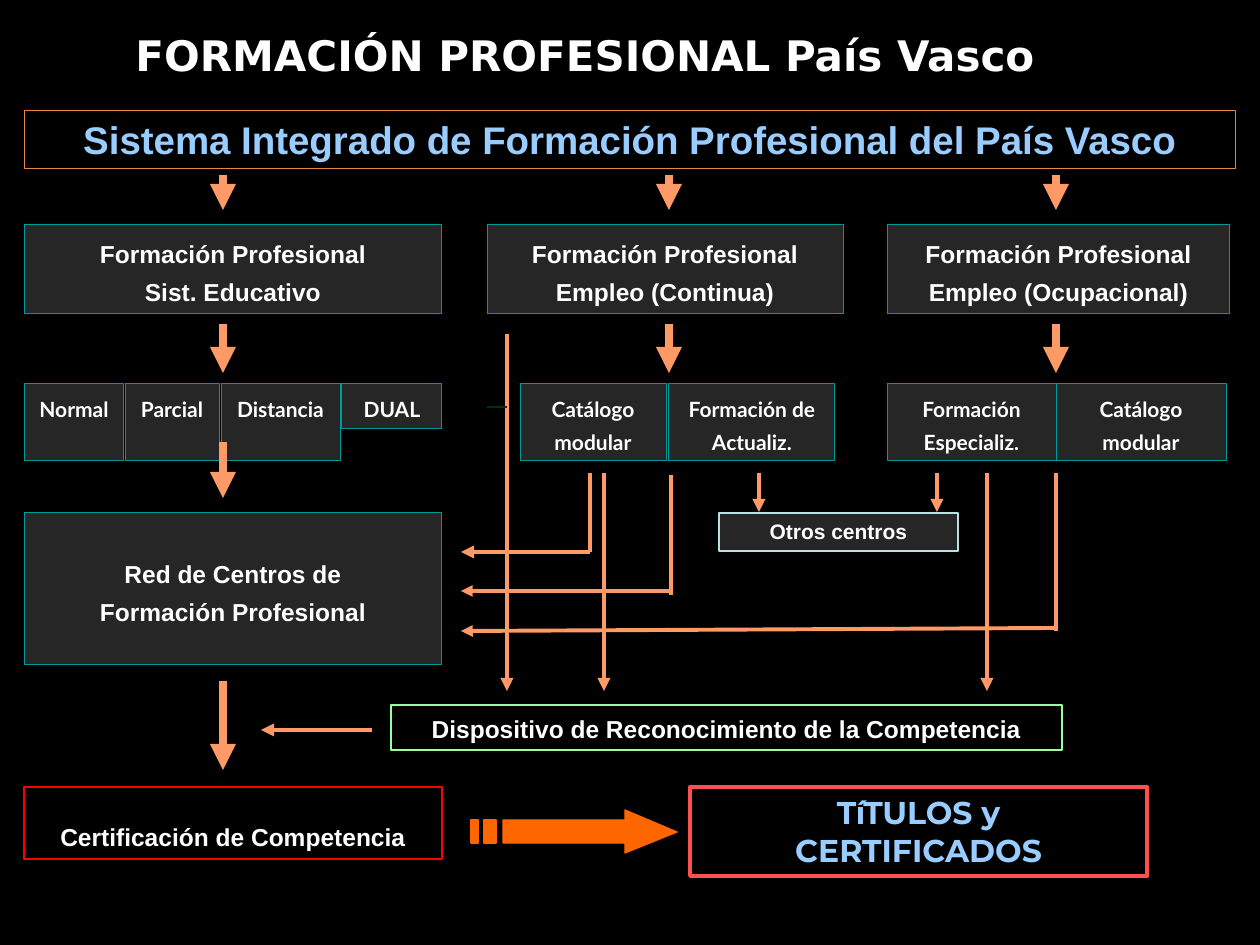
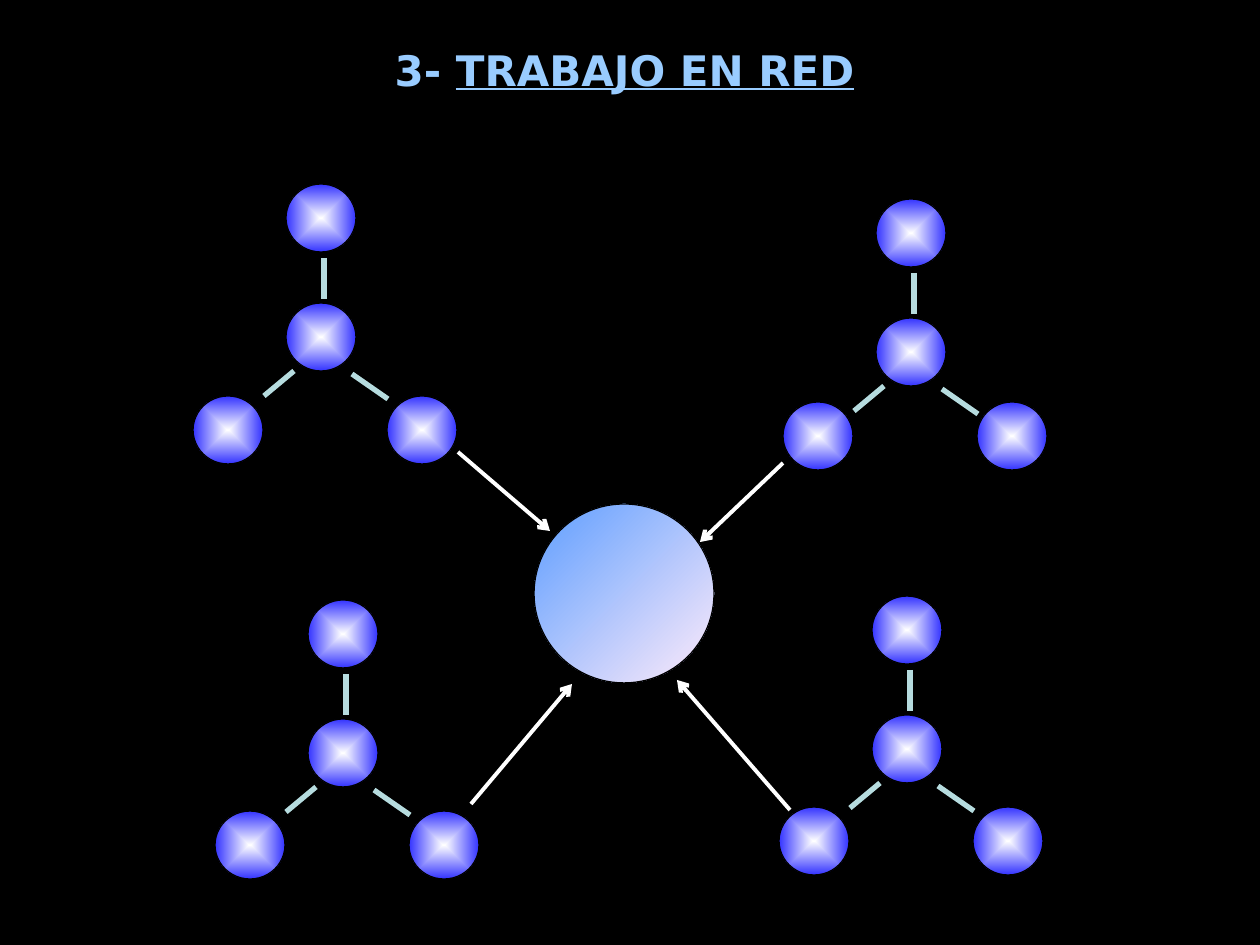
"""Build two slides on vocational training in the Basque Country and its network."""
import lxml.etree
import pptx
import pptx.dml.color
import pptx.enum.shapes
import pptx.enum.text
import pptx.oxml.ns
import pptx.util

PIXEL = 914400 / 126
SHAPES = pptx.enum.shapes.MSO_SHAPE
RGB = pptx.dml.color.RGBColor.from_string
qn = pptx.oxml.ns.qn


class Theme:
    black, white, panel = "000000", "FFFFFF", "262626"
    sky, teal, pale_teal = "99CCFF", "009999", "BBE0E3"
    peach, orange, copper = "FF9966", "FF6600", "E78740"
    red, coral, mint, forest = "FF0000", "FF5050", "99FF99", "003300"
    node_edge, link = "3333FF", "B6DCDF"
    center_start, center_end = "5E9EFF", "FFEBFA"
    title_font, body_font, option_font, result_font = "DejaVu Sans", "Arial", "Lato", "Montserrat"
    title, banner, result, body, option = 24, 22, 18, 14, 12
    hairline, outline, thin, medium, link_width, thick = 0.5, 0.75, 2.25, 2.5, 3, 5


def write(shape, text, size=Theme.body, font=Theme.body_font, color=Theme.white,
          spacing=1.0, top=6, underlined=""):
    frame = shape.text_frame
    frame.word_wrap = True
    frame.vertical_anchor = pptx.enum.text.MSO_ANCHOR.TOP
    frame.margin_top = round(top * PIXEL)
    for index, words in enumerate(text.split("\n")):
        paragraph = frame.add_paragraph() if index else frame.paragraphs[0]
        paragraph.alignment = pptx.enum.text.PP_ALIGN.CENTER
        paragraph.line_spacing = spacing
        for part in filter(None, (words, underlined)):
            run = paragraph.add_run()
            run.text = part
            run.font.size = pptx.util.Pt(size)
            run.font.name = font
            run.font.bold = True
            run.font.color.rgb = RGB(color)
            if part == underlined:
                run.font.underline = True


def connect(slide, start, end, color, width, head=None):
    line = slide.shapes.add_connector(
        pptx.enum.shapes.MSO_CONNECTOR.STRAIGHT, *(round(v * PIXEL) for v in (*start, *end)))
    line.line.color.rgb = RGB(color)
    line.line.width = pptx.util.Pt(width)
    properties = line._element.spPr
    if head:
        lxml.etree.SubElement(properties.find(qn("a:ln")), qn("a:tailEnd"), type=head)
    lxml.etree.SubElement(properties, qn("a:effectLst"))


deck = pptx.Presentation()
deck.slide_width = round(1260 * PIXEL)
deck.slide_height = round(945 * PIXEL)

slides = []
for title, underlined, color, area in [
    ("FORMACIÓN PROFESIONAL País Vasco", "", Theme.white, (74, 24, 1022, 63)),
    ("3- ", "TRABAJO EN RED", Theme.sky, (270, 39, 709, 63)),
]:
    slide = deck.slides.add_slide(deck.slide_layouts[6])
    slide.background.fill.solid()
    slide.background.fill.fore_color.rgb = RGB(Theme.black)
    heading = slide.shapes.add_textbox(*(round(v * PIXEL) for v in area))
    write(heading, title, size=Theme.title, font=Theme.title_font, color=color,
          underlined=underlined)
    slides.append(slide)
system, network = slides

track = dict(spacing=1.3)
option = dict(size=Theme.option, font=Theme.option_font, spacing=1.3)
panel_edge = (Theme.panel, Theme.teal, Theme.hairline)
boxes = [
    ("Sistema Integrado de Formación Profesional del País Vasco", (24, 110, 1212, 59),
     (None, Theme.copper, Theme.hairline), dict(size=Theme.banner, color=Theme.sky)),
    ("Red de Centros de\nFormación Profesional", (24, 513, 418, 152),
     panel_edge, dict(spacing=1.3, top=37)),
    ("Otros centros", (719, 513, 239, 38),
     (Theme.panel, Theme.pale_teal, Theme.outline), dict(size=Theme.option)),
    ("Dispositivo de Reconocimiento de la Competencia", (391, 705, 671, 45),
     (None, Theme.mint, Theme.outline), dict(spacing=1.1)),
    ("Certificación de Competencia", (24, 787, 418, 72),
     (None, Theme.red, Theme.outline), dict(spacing=2.0)),
    ("TíTULOS y\nCERTIFICADOS", (690, 787, 457, 89),
     (None, Theme.coral, Theme.thin),
     dict(size=Theme.result, font=Theme.result_font, color=Theme.sky)),
]
for text, left, width in [
    ("Formación Profesional\nSist. Educativo", 24, 418),
    ("Formación Profesional\nEmpleo (Continua)", 487, 356),
    ("Formación Profesional Empleo (Ocupacional)", 887, 343),
]:
    boxes.append((text, (left, 224, width, 90), panel_edge, track))
for text, left, width, height in [
    ("Normal", 24, 100, 78), ("Parcial", 125, 94, 78),
    ("Distancia", 221, 119, 78), ("DUAL", 342, 100, 45),
    ("Catálogo modular", 520, 146, 78), ("Formación de Actualiz.", 669, 166, 78),
    ("Formación Especializ.", 887, 169, 78), ("Catálogo modular", 1056, 170, 78),
]:
    boxes.append((text, (left, 383, width, height), panel_edge, option))

for text, area, (fill, edge, width), style in boxes:
    box = system.shapes.add_shape(SHAPES.RECTANGLE, *(round(v * PIXEL) for v in area))
    box.shadow.inherit = False
    if fill:
        box.fill.solid()
        box.fill.fore_color.rgb = RGB(fill)
    else:
        box.fill.background()
    box.line.color.rgb = RGB(edge)
    box.line.width = pptx.util.Pt(width)
    write(box, text, **style)

outcome = system.shapes.build_freeform(625, 810, PIXEL)
outcome.add_line_segments(
    [(625, 820), (503, 820), (503, 843), (625, 843), (625, 853), (677, 832)])
for left, right in [(484, 496), (471, 478)]:
    outcome.move_to(left, 820)
    outcome.add_line_segments([(left, 843), (right, 843), (right, 820)])
outcome_arrow = outcome.convert_to_shape()
outcome_arrow.shadow.inherit = False
outcome_arrow.fill.solid()
outcome_arrow.fill.fore_color.rgb = RGB(Theme.orange)
outcome_arrow.line.color.rgb = RGB(Theme.orange)
outcome_arrow.line.width = pptx.util.Pt(Theme.outline)

for x in (223, 669, 1056):
    for top, bottom in [(175, 210), (324, 373)]:
        connect(system, (x, top), (x, bottom), Theme.peach, Theme.thick, "triangle")
for top, bottom in [(442, 498), (681, 770)]:
    connect(system, (223, top), (223, bottom), Theme.peach, Theme.thick, "triangle")
for x, top, bottom in [(507, 334, 691), (604, 473, 691), (987, 473, 691),
                       (759, 473, 512), (937, 473, 512)]:
    connect(system, (x, top), (x, bottom), Theme.peach, Theme.medium, "triangle")
for x, top, bottom, turn, arrival, width in [
    (590, 473, 552, 552, 552, Theme.medium),
    (671, 475, 595, 591, 591, Theme.thin),
    (1056, 473, 631, 628, 631, Theme.thin),
]:
    connect(system, (x, top), (x, bottom), Theme.peach, width)
    connect(system, (x, turn), (461, arrival), Theme.peach, width, "triangle")
connect(system, (372, 730), (261, 730), Theme.peach, Theme.medium, "triangle")
connect(system, (487, 407), (507, 407), Theme.forest, 1.5)

circles = [((534, 504, 180, 179), Theme.center_start, Theme.center_end, False)]
for x, y, leaf_drop in [(286, 184, 212), (876, 199, 203), (308, 600, 211), (872, 596, 211)]:
    for dx, dy in [(0, 0), (0, 119), (-93, leaf_drop), (101, leaf_drop)]:
        circles.append(((x + dx, y + dy, 70, 68), Theme.white, Theme.node_edge, True))
    for start, end in [((38, 74), (38, 115)), ((8, 187), (-22, 212)), ((66, 190), (102, 215))]:
        connect(network, (x + start[0], y + start[1]), (x + end[0], y + end[1]),
                Theme.link, Theme.link_width)

for area, first, last, radial in circles:
    circle = network.shapes.add_shape(SHAPES.OVAL, *(round(v * PIXEL) for v in area))
    circle.shadow.inherit = False
    circle.line.color.rgb = RGB(Theme.black)
    circle.line.width = pptx.util.Pt(Theme.outline)
    circle.fill.gradient()
    circle.fill.gradient_angle = 315
    for stop, color, position in zip(circle.fill.gradient_stops, (first, last), (0, 1)):
        stop.color.rgb = RGB(color)
        stop.position = position
    if radial:
        gradient = circle._element.spPr.find(qn("a:gradFill"))
        gradient.remove(gradient.find(qn("a:lin")))
        rays = lxml.etree.SubElement(gradient, qn("a:path"), path="rect")
        lxml.etree.SubElement(rays, qn("a:fillToRect"), l="50000", t="50000", r="50000", b="50000")

for start, end in [((458, 452), (550, 531)), ((783, 463), (700, 542)),
                   ((471, 804), (572, 684)), ((790, 810), (677, 680))]:
    connect(network, start, end, Theme.white, Theme.thin, "arrow")

deck.save("out.pptx")
